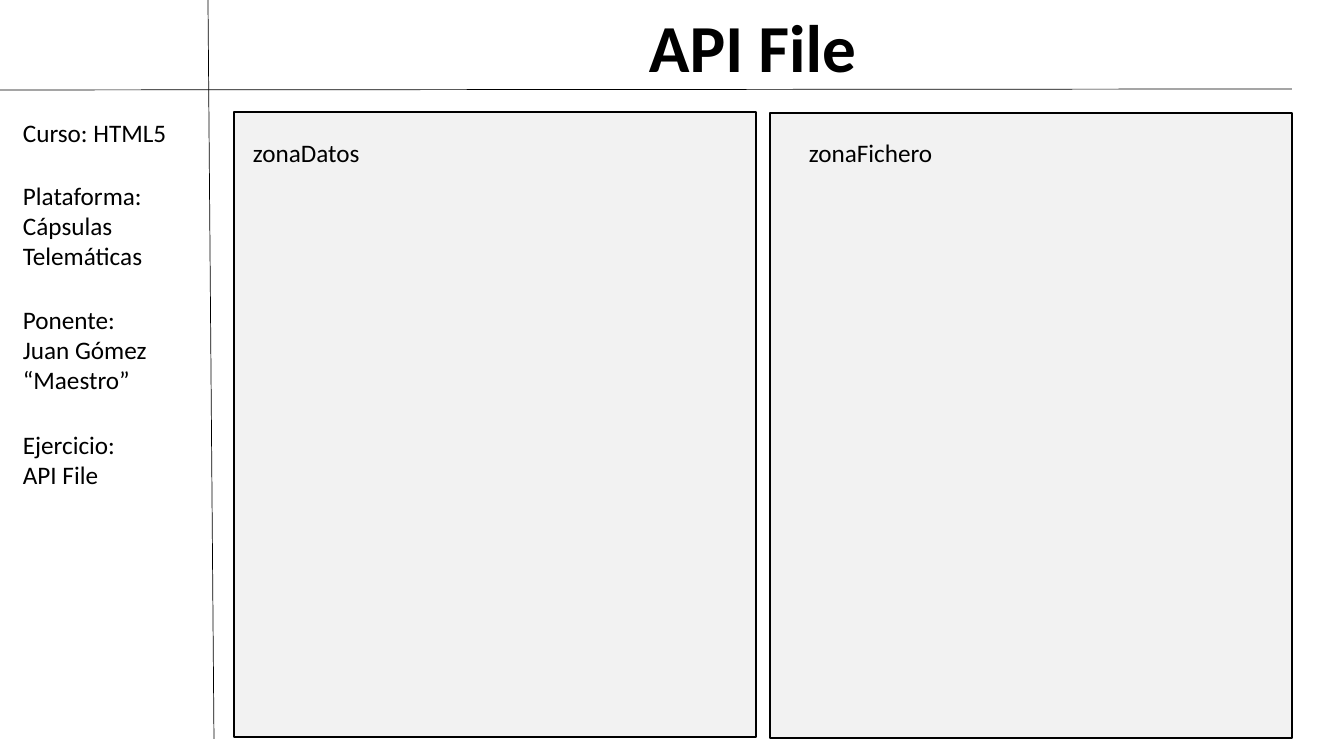
from dataclasses import dataclass

from lxml import etree
from pptx import Presentation
from pptx.dml.color import RGBColor
from pptx.enum.shapes import MSO_CONNECTOR, MSO_SHAPE
from pptx.enum.text import MSO_AUTO_SIZE
from pptx.oxml.ns import qn
from pptx.util import Emu, Pt

RECT = MSO_SHAPE.RECTANGLE
STRAIGHT = MSO_CONNECTOR.STRAIGHT
GROW = MSO_AUTO_SIZE.SHAPE_TO_FIT_TEXT
SCALE = 914400 / 100.8
INK = {"text": "000000", "line": "000000", "panel": "F2F2F2"}


@dataclass(frozen=True)
class Panel:
    """A grey zone of the page."""
    left: int
    top: int
    width: int = 522
    height: int = 625


@dataclass(frozen=True)
class Rule:
    """A thin line that splits the page."""
    start: tuple[int, int]
    end: tuple[int, int]


@dataclass(frozen=True)
class Label:
    """A text box with one paragraph per line."""
    lines: tuple[str, ...]
    left: int
    top: int
    width: int
    height: int
    wrap: bool = False
    size: int = 18
    bold: bool = False


def px(*values: int) -> list[Emu]:
    """Turn pixels into EMU."""
    return [Emu(round(value * SCALE)) for value in values]


def tint(name: str) -> RGBColor:
    """Look up a colour by its role."""
    return RGBColor.from_string(INK[name])


def style(target: object, format: dict[str, object]) -> None:
    """Set attributes from a dict of format values."""
    for key, value in format.items():
        setattr(target, key, value)


def draw_panel(slide, panel: Panel) -> None:
    """Draw a filled zone with a thin outline."""
    box = slide.shapes.add_shape(
        RECT, *px(panel.left, panel.top, panel.width, panel.height))
    box.shadow.inherit = False
    box.fill.solid()
    box.fill.fore_color.rgb = tint("panel")
    box.line.color.rgb = tint("line")
    box.line.width = Pt(1)


def draw_rule(slide, rule: Rule) -> None:
    """Draw a hairline without shadow."""
    line = slide.shapes.add_connector(
        STRAIGHT, *px(*rule.start, *rule.end))
    line.line.color.rgb = tint("line")
    line.line.width = Pt(0.5)
    etree.SubElement(line._element.spPr, qn("a:effectLst"))


def draw_label(slide, label: Label) -> None:
    """Write the lines of a label."""
    box = slide.shapes.add_textbox(
        *px(label.left, label.top, label.width, label.height))
    frame = box.text_frame
    style(frame, {"word_wrap": label.wrap, "auto_size": GROW})
    frame.text = "\n".join(label.lines)
    for para in frame.paragraphs:
        font = para.runs[0].font
        style(font, {"name": "Calibri", "size": Pt(label.size),
                     "bold": label.bold})
        font.color.rgb = tint("text")


PANELS = [Panel(234, 112), Panel(770, 113)]
RULES = [Rule((0, 90), (1292, 89)), Rule((208, 0), (214, 739))]
SIDE = 13
LABELS = [
    Label(("Curso: HTML5",), SIDE, 112, 165, 40),
    Label(("Plataforma: Cápsulas Telemáticas",), SIDE, 175, 187, 102, True),
    Label(("Ponente:", "Juan Gómez ", "“Maestro”"),
          SIDE, 299, 187, 102, True),
    Label(("Ejercicio:", "API File"), SIDE, 424, 187, 71, True),
    Label(("API File",), 639, 0, 230, 92, size=48, bold=True),
    Label(("zonaDatos",), 243, 132, 128, 40),
    Label(("zonaFichero",), 799, 132, 145, 40),
]


def main() -> None:
    """Build the slide and save it."""
    deck = Presentation()
    deck.slide_width, deck.slide_height = px(1344, 756)
    slide = deck.slides.add_slide(deck.slide_layouts[6])
    for draw, items in ((draw_panel, PANELS), (draw_rule, RULES),
                        (draw_label, LABELS)):
        for item in items:
            draw(slide, item)
    deck.save("out.pptx")


main()
